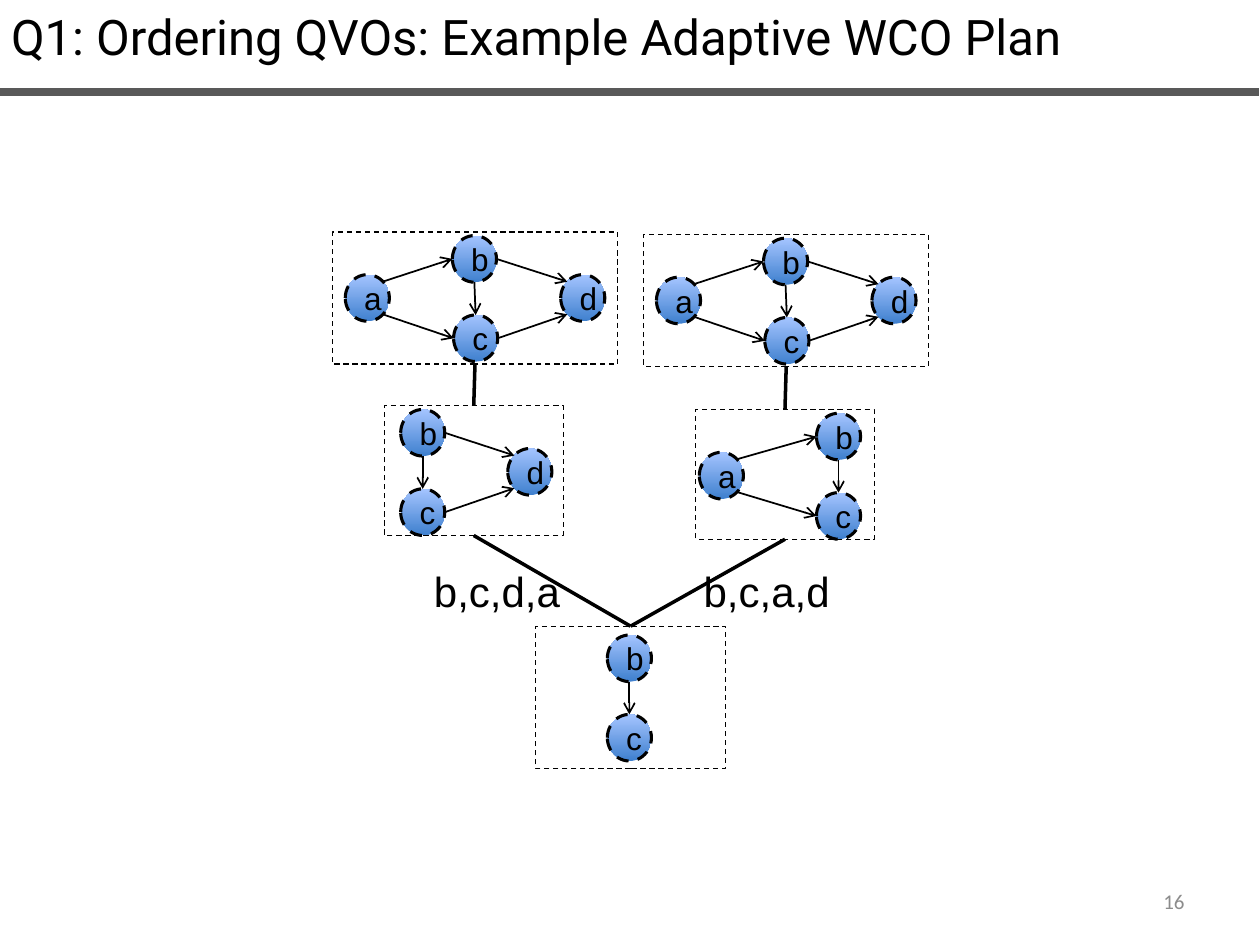
from dataclasses import dataclass

from lxml.etree import SubElement
from pptx import Presentation
from pptx.dml.color import RGBColor as RGB
from pptx.enum.dml import MSO_LINE as Dash
from pptx.enum.shapes import MSO_CONNECTOR as Connector, MSO_SHAPE as Shape
from pptx.enum.text import MSO_ANCHOR as Anchor, PP_ALIGN as Align
from pptx.oxml.ns import qn
from pptx.util import Inches, Pt


@dataclass(frozen=True)
class Theme:
    ink = RGB(0x00, 0x00, 0x00)
    rule = RGB(0x59, 0x59, 0x59)
    muted = RGB(0x8C, 0x8C, 0x8C)
    node_dark = RGB(0x3F, 0x80, 0xCE)
    node_light = RGB(0xA4, 0xC4, 0xFF)
    title_size = Pt(28)
    label_size = Pt(24)
    node_size = Pt(18)
    number_size = Pt(12)


theme = Theme()
deck = Presentation()
deck.slide_width, deck.slide_height = Inches(10), Inches(7.5)
page = deck.slides.add_slide(deck.slide_layouts[6])


def add_line(start, end, width, color=theme.ink, arrow=False):
    line = page.shapes.add_connector(
        Connector.STRAIGHT, *(Inches(value) for value in (*start, *end)))
    line.line.color.rgb = color
    line.line.width = Pt(width)
    if arrow:
        SubElement(line.line._get_or_add_ln(), qn("a:tailEnd"), type="arrow")
    SubElement(line._element.spPr, qn("a:effectLst"))


def write(shape, text, font, size, color=theme.ink, align=Align.CENTER, anchor=Anchor.TOP):
    frame = shape.text_frame
    frame.word_wrap = True
    frame.vertical_anchor = anchor
    para = frame.paragraphs[0]
    para.text, para.alignment = text, align
    para.font.name, para.font.size = font, size
    para.font.color.rgb = color


# Title, rule and slide number
add_line((-0.01, 0.73), (9.99, 0.73), 4.5, theme.rule)
title = page.shapes.add_textbox(Inches(-0.01), 0, Inches(10.13), Inches(0.57))
write(title, "Q1: Ordering QVOs: Example Adaptive WCO Plan", "Roboto",
      theme.title_size, align=Align.LEFT)
number = page.shapes.add_textbox(Inches(7.17), Inches(6.95), Inches(2.33), Inches(0.4))
write(number, "16", "Calibri", theme.number_size, theme.muted, Align.RIGHT, Anchor.MIDDLE)

# Query graphs: panel frame (left, top, width, height), then the x offset of each node
panels = {
    "abcd left": ((2.64, 1.84, 2.26, 1.05), {"a": 0.1, "b": 0.95, "c": 0.96, "d": 1.81}),
    "bcd": ((3.05, 3.22, 1.42, 1.03), {"b": 0.13, "c": 0.13, "d": 0.98}),
    "bc": ((4.25, 4.97, 1.51, 1.13), {"b": 0.57, "c": 0.57}),
    "abcd right": ((5.11, 1.86, 2.26, 1.05), {"a": 0.1, "b": 0.95, "c": 0.96, "d": 1.81}),
    "abc": ((5.52, 3.25, 1.42, 1.03), {"a": 0.03, "b": 0.96, "c": 0.96}),
}
node_width, node_height = 0.35, 0.37
row_tops = {"a": 0.34, "b": 0.03, "c": 0.66, "d": 0.34}

# Where each edge touches its two nodes, as fractions of the node's size
near, far = 0.15, 0.85
edges = {
    ("a", "b"): ((far, near), (0, 0.5)),
    ("a", "c"): ((far, far), (0, 0.5)),
    ("b", "c"): ((0.5, 1), (0.5, 0)),
    ("b", "d"): ((1, 0.5), (near, near)),
    ("c", "d"): ((1, 0.5), (near, far)),
}

for name, ((left, top, width, height), columns) in panels.items():
    frame = page.shapes.add_shape(
        Shape.RECTANGLE, Inches(left), Inches(top), Inches(width), Inches(height))
    frame.shadow.inherit = False
    frame.fill.background()
    frame.line.color.rgb = theme.ink
    frame.line.width = Pt(0.75)
    frame.line.dash_style = Dash.DASH

    first_row = top + (0.04 if name == "bc" else 0)
    corners = {letter: (left + x, first_row + row_tops[letter])
               for letter, x in columns.items()}
    for letter, (x, y) in corners.items():
        node = page.shapes.add_shape(
            Shape.OVAL, Inches(x), Inches(y), Inches(node_width), Inches(node_height))
        node.shadow.inherit = False
        node.fill.gradient()
        node.fill.gradient_angle = 90
        for stop, color in zip(node.fill.gradient_stops, (theme.node_dark, theme.node_light)):
            stop.color.rgb = color
        node.line.color.rgb = theme.ink
        node.line.width = Pt(1.75)
        node.line.dash_style = Dash.DASH
        write(node, letter, "Arial", theme.node_size, anchor=Anchor.MIDDLE)

    for ends, sites in edges.items():
        if all(letter in corners for letter in ends):
            start, end = (
                (corners[letter][0] + across * node_width, corners[letter][1] + down * node_height)
                for letter, (across, down) in zip(ends, sites))
            add_line(start, end, 1, arrow=True)

# Plan tree: bottom centre of the upper panel to top centre of the lower one
for upper, lower in (("abcd left", "bcd"), ("bcd", "bc"), ("abcd right", "abc"), ("abc", "bc")):
    left, top, width, height = panels[upper][0]
    lower_left, lower_top, lower_width, _ = panels[lower][0]
    add_line((left + width / 2, top + height), (lower_left + lower_width / 2, lower_top), 2)

for left, ordering in ((5.4, "b,c,a,d"), (3.26, "b,c,d,a")):
    label = page.shapes.add_textbox(Inches(left), Inches(4.44), Inches(1.37), Inches(0.5))
    write(label, ordering, "Arial", theme.label_size)

deck.save("out.pptx")
